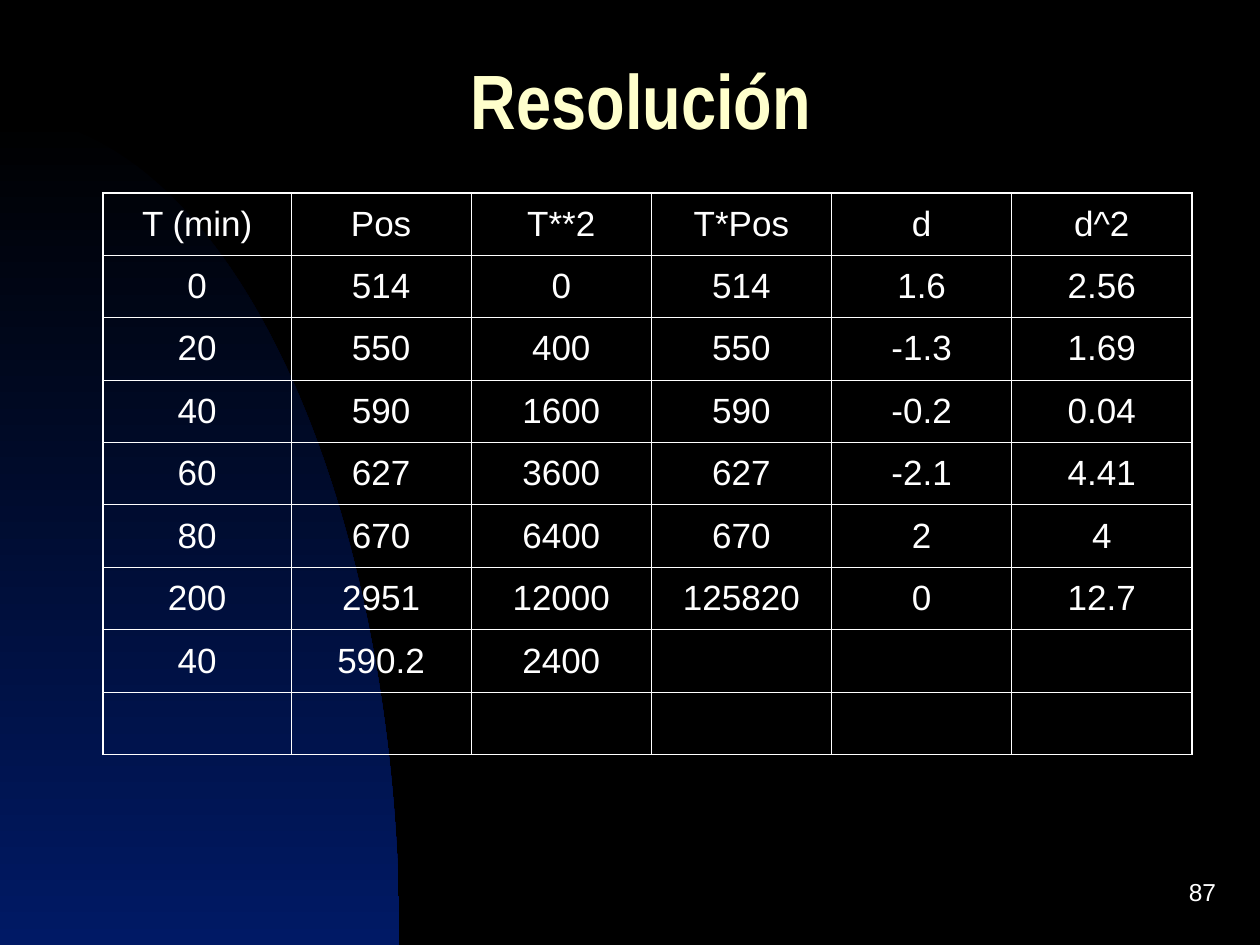
from dataclasses import dataclass

from lxml.etree import SubElement
from pptx import Presentation
from pptx.dml.color import RGBColor
from pptx.enum.shapes import MSO_SHAPE
from pptx.enum.text import MSO_ANCHOR, PP_ALIGN
from pptx.oxml.ns import qn
from pptx.util import Inches, Pt


@dataclass(frozen=True)
class Theme:
    black: str = "000000"
    blue: str = "0033CC"
    cream: str = "FFFFCC"
    white: str = "FFFFFF"
    title_size: int = 44
    table_size: int = 20
    number_size: int = 14
    inner_line: float = 0.45
    outer_line: float = 1.08


theme = Theme()


def write(tf, text, size, color, align, font="Arial", bold=False):
    tf.word_wrap = True
    p = tf.paragraphs[0]
    p.text = text
    p.alignment = align
    p.font.size = Pt(size)
    for r in p.runs:
        r.font.name, r.font.size, r.font.bold = font, Pt(size), bold
        r.font.color.rgb = RGBColor.from_string(color)
    return p


def set_borders(cell, widths):
    tc_pr = cell._tc.get_or_add_tcPr()
    for i, (side, width) in enumerate(widths.items()):
        ln = SubElement(tc_pr, qn(f"a:ln{side}"), w=str(Pt(width)))
        fill = SubElement(ln, qn("a:solidFill"))
        SubElement(fill, qn("a:srgbClr"), val=theme.white)
        tc_pr.insert(i, ln)  # borders precede the cell fill


prs = Presentation()
prs.slide_width, prs.slide_height = Inches(10), Inches(7.5)
s = prs.slides.add_slide(prs.slide_layouts[6])
s.background.fill.solid()
s.background.fill.fore_color.rgb = RGBColor.from_string(theme.black)

# Gradient ellipse centred on the lower left corner
rx, ry = 3.17, 6.58
sp = s.shapes.add_shape(MSO_SHAPE.OVAL, Inches(-rx), Inches(7.5 - ry),
                        Inches(2 * rx), Inches(2 * ry))
sp.shadow.inherit = False
sp.line.fill.background()
sp.fill.gradient()
sp.fill.gradient_angle = 270
for stop, color in zip(sp.fill.gradient_stops, (theme.black, theme.blue)):
    stop.color.rgb = RGBColor.from_string(color)

# Title
sp = s.shapes.add_textbox(Inches(0.46), Inches(0.25), Inches(9.26), Inches(1.25))
sp.text_frame.vertical_anchor = MSO_ANCHOR.MIDDLE
p = write(sp.text_frame, "Resolución", theme.title_size, theme.cream,
          PP_ALIGN.CENTER, "Arial Narrow", True)
p.line_spacing = 0.7

# Table
rows = [
    ["T (min)", "Pos", "T**2", "T*Pos", "d", "d^2"],
    ["0", "514", "0", "514", "1.6", "2.56"],
    ["20", "550", "400", "550", "-1.3", "1.69"],
    ["40", "590", "1600", "590", "-0.2", "0.04"],
    ["60", "627", "3600", "627", "-2.1", "4.41"],
    ["80", "670", "6400", "670", "2", "4"],
    ["200", "2951", "12000", "125820", "0", "12.7"],
    ["40", "590.2", "2400", "", "", ""],
    [""] * 6,
]
last_row, last_col = len(rows) - 1, len(rows[0]) - 1
table = s.shapes.add_table(len(rows), len(rows[0]), Inches(0.82), Inches(1.53),
                           Inches(8.64), Inches(4.46)).table
table.first_row = table.horz_banding = False
for j, col in enumerate(table.columns):
    col.width = Inches(1.43 if j else 1.49)
for i, values in enumerate(rows):
    for j, value in enumerate(values):
        cell = table.cell(i, j)
        cell.fill.background()
        cell.vertical_anchor = MSO_ANCHOR.MIDDLE
        write(cell.text_frame, value, theme.table_size, theme.white, PP_ALIGN.CENTER)
        edges = {"L": j == 0, "R": j == last_col, "T": i == 0, "B": i == last_row}
        set_borders(cell, {side: theme.outer_line if outer else theme.inner_line
                           for side, outer in edges.items()})

# Slide number
sp = s.shapes.add_textbox(Inches(7.67), Inches(6.83), Inches(2.08), Inches(0.5))
sp.text_frame.vertical_anchor = MSO_ANCHOR.MIDDLE
write(sp.text_frame, "87", theme.number_size, theme.white, PP_ALIGN.RIGHT)

prs.save("out.pptx")
